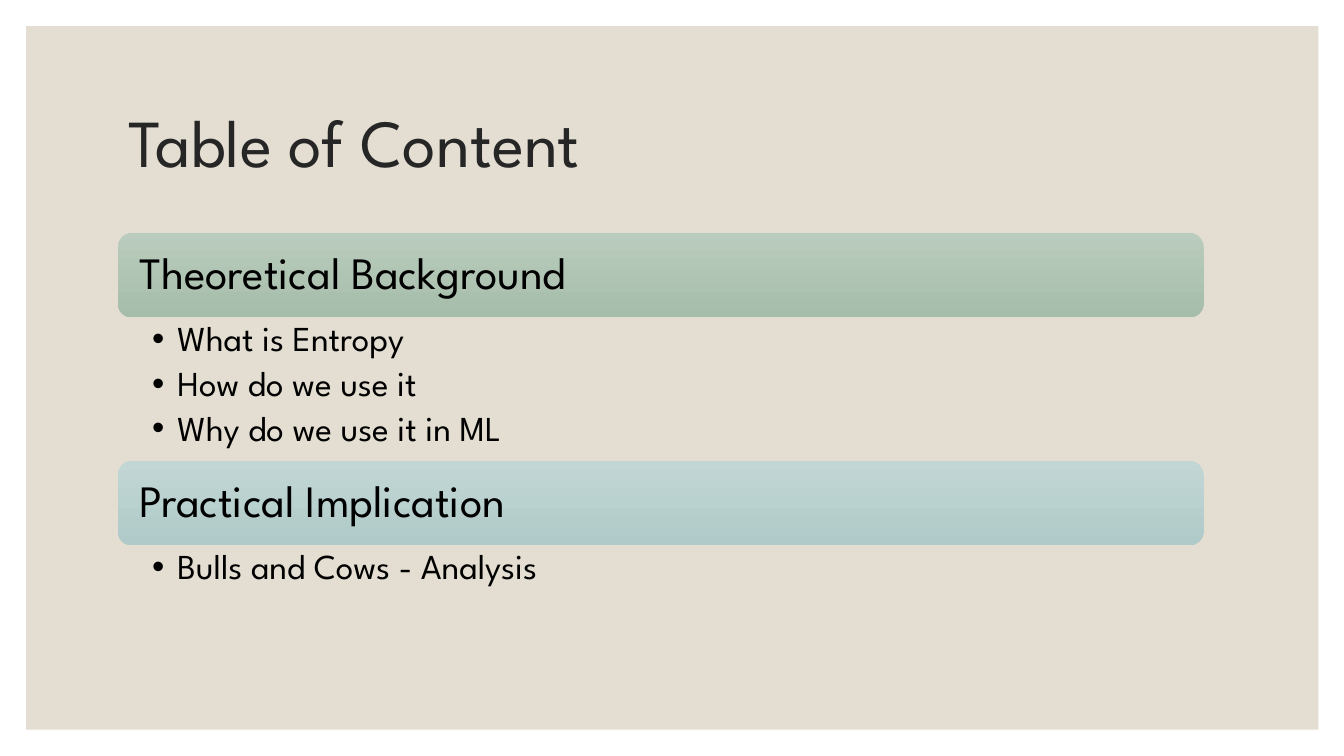
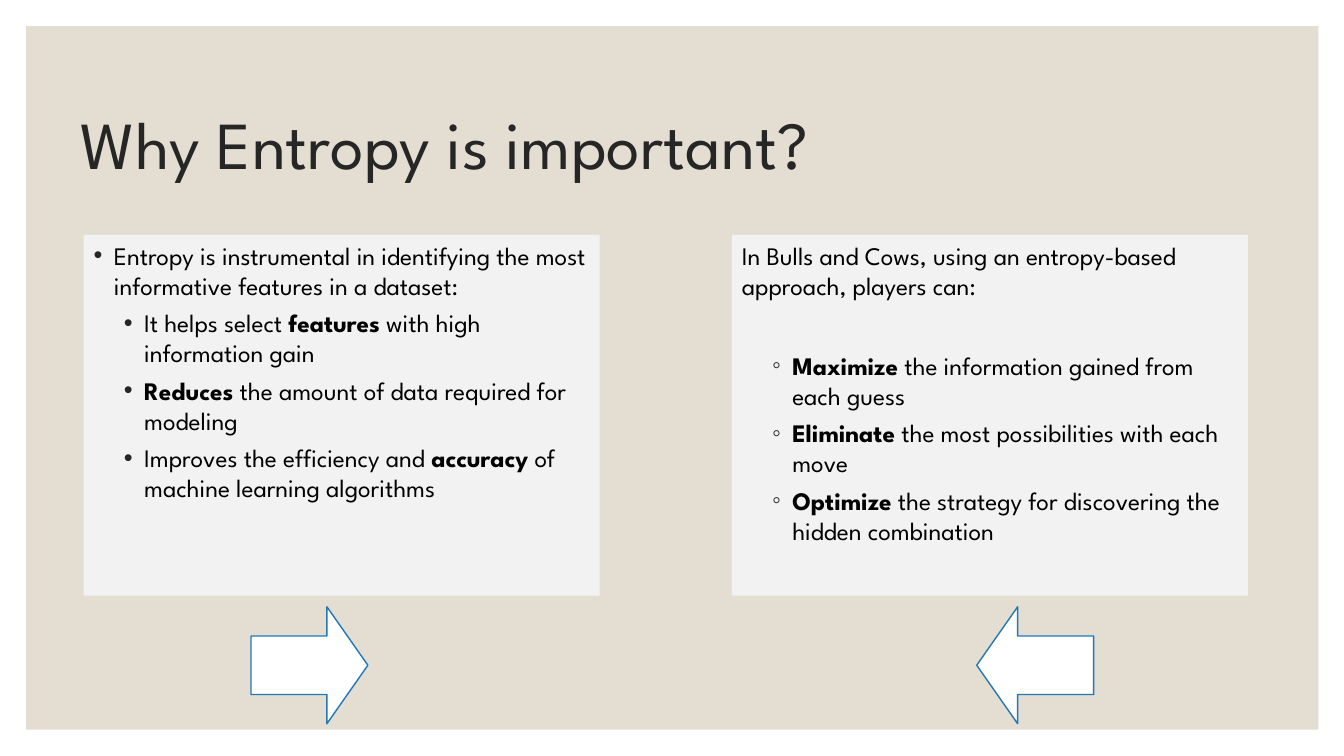
from lxml.etree import SubElement
from pptx import Presentation
from pptx.dml.color import RGBColor
from pptx.enum.shapes import MSO_SHAPE as Shape
from pptx.enum.text import MSO_ANCHOR as Anchor, MSO_AUTO_SIZE as AutoSize, PP_ALIGN as Align
from pptx.oxml.ns import qn
from pptx.util import Pt

PX = 9144
FONT = "League Spartan"
COLORS = {
    "band": "E3DED1", "title": "262626", "text": "000000", "panel": "F2F2F2",
    "white": "FFFFFF", "outline": "2277B4",
}
MARGIN = 26
TOPICS = [
    ("Theoretical Background", ("BACCBD", "A6BDAB"), 142,
     ["What is Entropy", "How do we use it", "Why do we use it in ML"]),
    ("Practical Implication", ("C2D7D5", "AFCAC8"), 58,
     ["Bulls and Cows - Analysis"]),
]
PANELS = [
    {"left": 83, "arrow": (Shape.RIGHT_ARROW, 249), "bullet": "•", "intro_bullet": "•", "gap": 5,
     "intro": "Entropy is instrumental in identifying the most informative features in a dataset:",
     "points": ["It helps select **features** with high information gain",
                "**Reduces** the amount of data required for modeling",
                "Improves the efficiency and **accuracy** of machine learning algorithms"]},
    {"left": 726, "arrow": (Shape.LEFT_ARROW, 969), "bullet": "◦", "intro_bullet": None, "gap": 35.5,
     "intro": "In Bulls and Cows, using an entropy-based approach, players can:",
     "points": ["**Maximize** the information gained from each guess",
                "**Eliminate** the most possibilities with each move",
                "**Optimize** the strategy for discovering the hidden combination"]},
]


def px(n):
    return round(n * PX)


def rgb(name):
    return RGBColor.from_string(COLORS.get(name, name))


def place(sp, left, top, width, height):
    sp.left, sp.top, sp.width, sp.height = map(px, (left, top, width, height))


def set_frame(sp, anchor=Anchor.TOP, insets=(10, 5, 10, 5)):
    tf = sp.text_frame
    tf.word_wrap = True
    tf.auto_size = AutoSize.NONE
    tf.vertical_anchor = anchor
    tf.margin_left, tf.margin_top, tf.margin_right, tf.margin_bottom = map(px, insets)
    return tf


def add_text(tf, text, size=18, color="text", level=0, spacing=1.0, before=0, after=0,
             bullet=None, bullet_color="title", indent=0, hang=0):
    p = tf.paragraphs[0] if not tf.text else tf.add_paragraph()
    p.alignment, p.level, p.line_spacing = Align.LEFT, level, spacing
    p.space_before, p.space_after = Pt(before), Pt(after)
    for i, part in enumerate(text.split("**")):
        if part:
            r = p.add_run()
            r.text = part
            r.font.name, r.font.size, r.font.bold = FONT, Pt(size), i % 2 == 1
            r.font.color.rgb = rgb(color)
    pPr = p._p.get_or_add_pPr()
    pPr.set("marL", str(px(indent)))
    pPr.set("indent", str(px(-hang)))
    if bullet:
        clr = SubElement(pPr, qn("a:buClr"))
        SubElement(clr, qn("a:srgbClr")).set("val", COLORS[bullet_color])
        SubElement(pPr, qn("a:buChar")).set("char", bullet)
    else:
        SubElement(pPr, qn("a:buNone"))


def add_shape(slide, kind, box, fill, line=None):
    sp = slide.shapes.add_shape(kind, *map(px, box))
    sp.shadow.inherit = False
    if isinstance(fill, tuple):
        sp.fill.gradient()
        sp.fill.gradient_angle = 270
        for stop, color in zip(sp.fill.gradient_stops, fill):
            stop.color.rgb = rgb(color)
    else:
        sp.fill.solid()
        sp.fill.fore_color.rgb = rgb(fill)
    if line:
        sp.line.color.rgb = rgb(line)
        sp.line.width = Pt(1)
    else:
        sp.line.fill.background()
    return sp


def add_slide(prs, title, left, top):
    slide = prs.slides.add_slide(prs.slide_layouts[3])
    sp = slide.shapes.title
    place(sp, left, top, 1100, 150)
    add_text(set_frame(sp, Anchor.MIDDLE), title, size=48, color="title", spacing=0.9)
    return slide, list(slide.placeholders)[1:]


def add_master_band(prs, slide):
    band = add_shape(slide, Shape.RECTANGLE,
                     (MARGIN, MARGIN, 1334 - 2 * MARGIN, 750 - 2 * MARGIN), "band")
    prs.slide_master.shapes.element.insert(2, band.element)


def build_contents(prs):
    slide, bodies = add_slide(prs, "Table of Content", 117, 70)
    add_master_band(prs, slide)
    left, top, width, bar_height = 117, 231, 1077, 84
    for body, (heading, colors, height, items) in zip(bodies, TOPICS):
        bar = add_shape(slide, Shape.ROUNDED_RECTANGLE, (left, top, width, bar_height), colors)
        add_text(set_frame(bar, Anchor.MIDDLE, (17, 13, 17, 13)), heading, size=32, spacing=0.9)
        place(body, left, top + bar_height, width, height)
        tf = set_frame(body, insets=(34, 4, 25, 4))
        for item in items:
            add_text(tf, item, size=25, level=1, spacing=0.9, after=5,
                     bullet="•", bullet_color="text", indent=25, hang=25)
        top += bar_height + height


def build_importance(prs):
    slide, bodies = add_slide(prs, "Why Entropy is important?", 70, 72)
    for body, panel in zip(bodies, PANELS):
        place(body, panel["left"], 233, 512, 358)
        body.fill.solid()
        body.fill.fore_color.rgb = rgb("panel")
        tf = set_frame(body)
        hang = 20 if panel["intro_bullet"] else 0
        add_text(tf, panel["intro"], before=9, bullet=panel["intro_bullet"], indent=hang, hang=hang)
        for i, point in enumerate(panel["points"]):
            add_text(tf, point, level=1, before=5 if i else panel["gap"],
                     bullet=panel["bullet"], indent=50, hang=20)
        kind, left = panel["arrow"]
        arrow = add_shape(slide, kind, (left, 602, 116, 116), "white", "outline")
        arrow.adjustments[0], arrow.adjustments[1] = 0.5, 0.35


def main():
    prs = Presentation()
    prs.slide_width, prs.slide_height = px(1333.33), px(750)
    build_contents(prs)
    build_importance(prs)
    prs.save("out.pptx")


if __name__ == "__main__":
    main()
